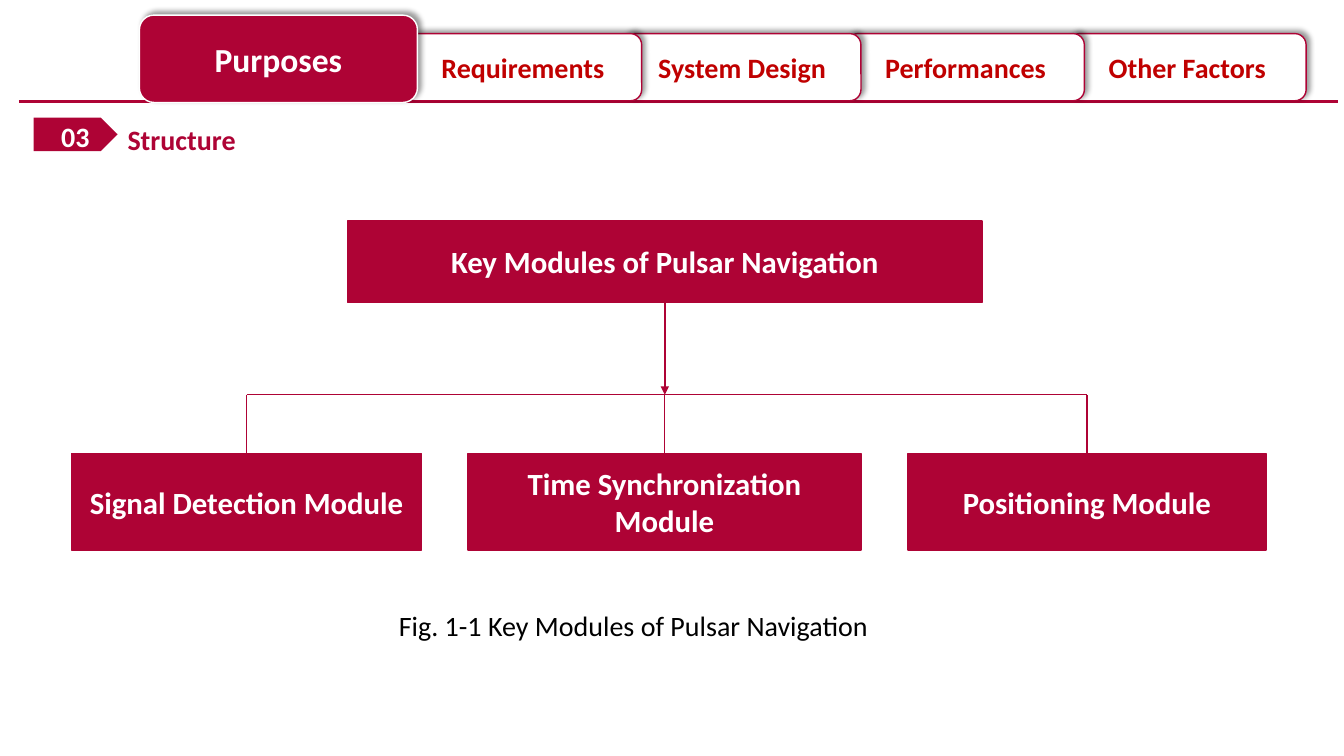
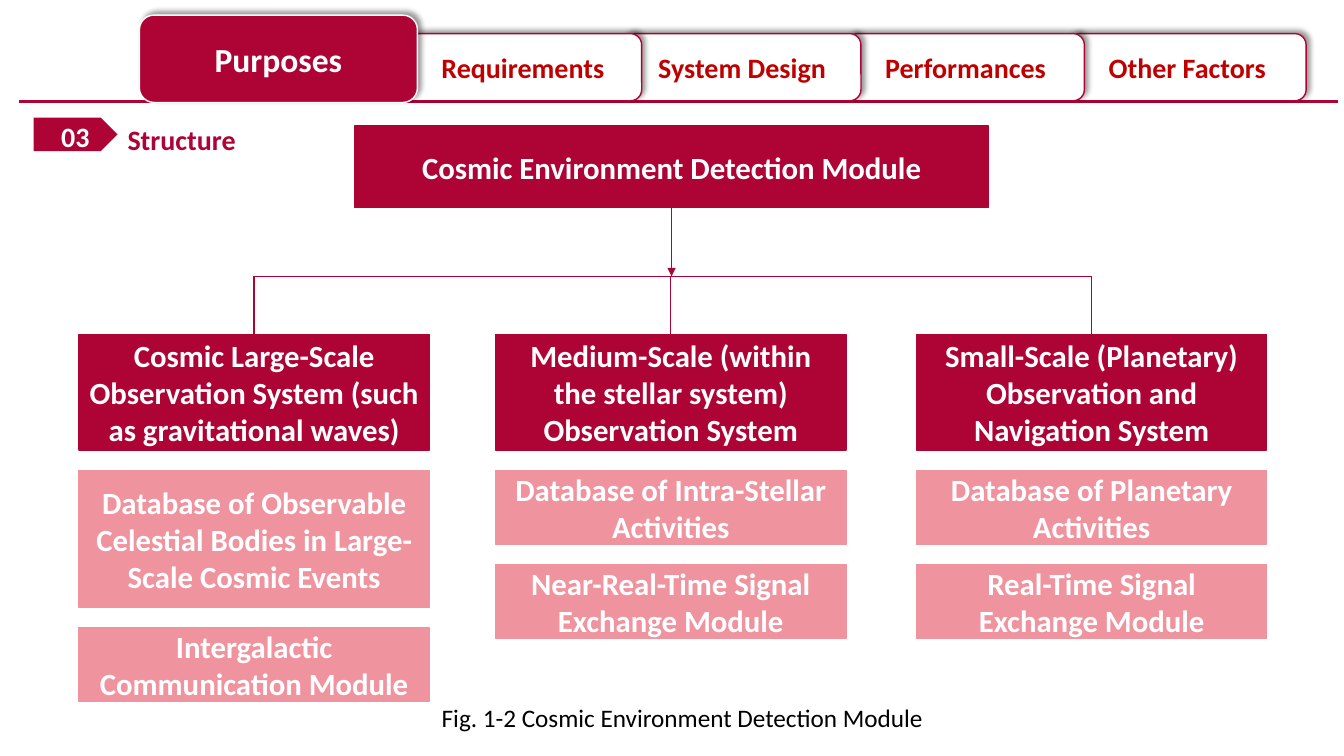
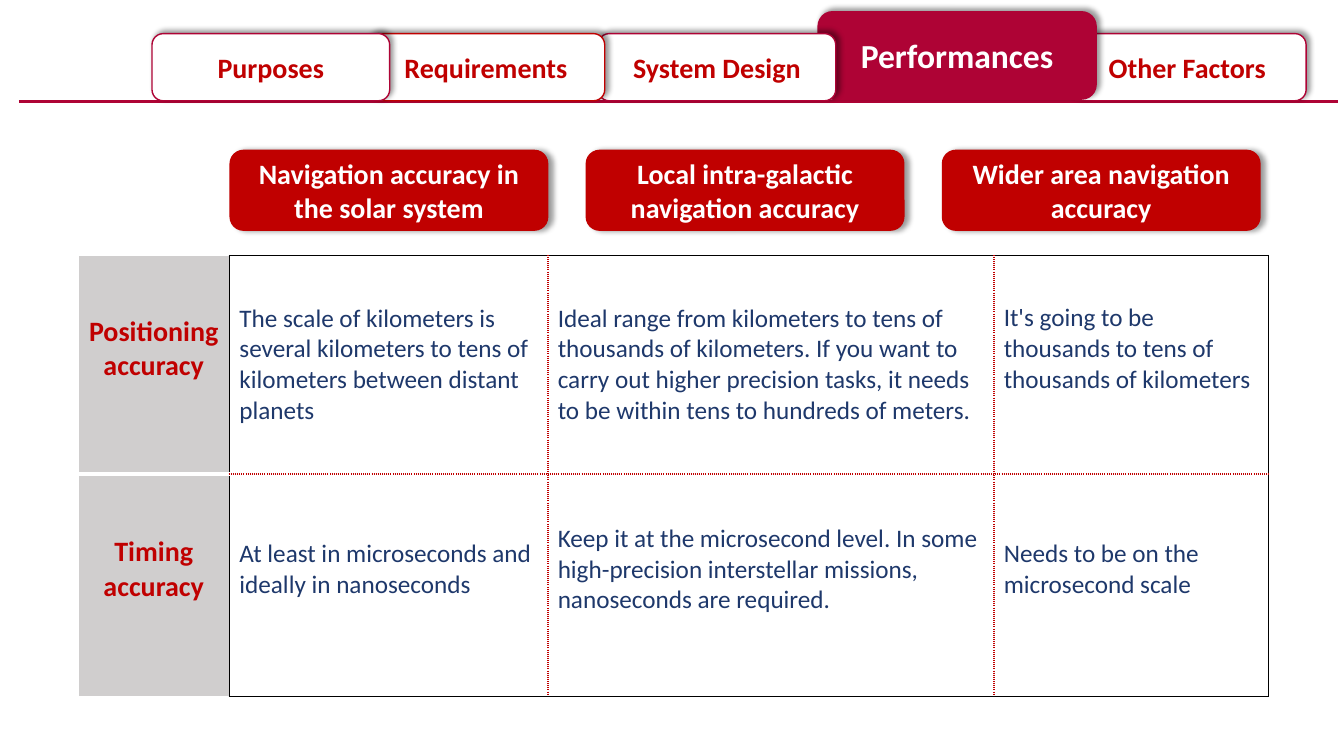
"""Builds three slides on pulsar navigation: two module trees and an accuracy table."""
from lxml.etree import SubElement
from pptx import Presentation
from pptx.dml.color import RGBColor
from pptx.enum.shapes import MSO_CONNECTOR, MSO_SHAPE
from pptx.enum.text import MSO_ANCHOR, MSO_AUTO_SIZE, PP_ALIGN
from pptx.oxml.ns import qn
from pptx.util import Inches, Pt

CELL = Inches(1) // 12
COLUMNS, ROWS = 160, 90
FONT = "Calibri"
CRIMSON = RGBColor(0xAE, 0x03, 0x35)
RED = RGBColor(0xC0, 0x00, 0x00)
PINK = RGBColor(0xEF, 0x94, 0x9E)
GREY = RGBColor(0xD0, 0xCE, 0xCE)
NAVY = RGBColor(0x1E, 0x38, 0x6B)
WHITE = RGBColor(0xFF, 0xFF, 0xFF)
BLACK = RGBColor(0x00, 0x00, 0x00)


def add_label(slide, text, at, size, color, bold=True, outline=None, fill=None, edge=None, shadow_angle=None):
    left, top, width, height = [round(CELL * value) for value in at]
    if outline is None:
        label = slide.shapes.add_textbox(left, top, width, height)
        label.text_frame.auto_size = MSO_AUTO_SIZE.SHAPE_TO_FIT_TEXT
    else:
        label = slide.shapes.add_shape(outline, left, top, width, height)
        label.fill.solid()
        label.fill.fore_color.rgb = fill
        label.line.color.rgb = edge
        label.line.width = Pt(1)
        label.shadow.inherit = False
        label.text_frame.vertical_anchor = MSO_ANCHOR.MIDDLE
    if shadow_angle is not None:
        effects = label.element.spPr.find(qn("a:effectLst"))
        shadow = SubElement(effects, qn("a:outerShdw"), blurRad=str(Pt(4)), dist=str(Pt(3)),
                            dir=str(shadow_angle * 60000), rotWithShape="0")
        tint = SubElement(shadow, qn("a:srgbClr"), val=str(BLACK))
        SubElement(tint, qn("a:alpha"), val="40000")
    label.text_frame.word_wrap = True
    paragraph = label.text_frame.paragraphs[0]
    paragraph.text = text
    paragraph.alignment = PP_ALIGN.LEFT if outline is None else PP_ALIGN.CENTER
    paragraph.font.name, paragraph.font.size = FONT, Pt(size)
    paragraph.font.bold, paragraph.font.color.rgb = bold, color
    return label


def add_line(slide, start, end, width=1, arrow=False):
    ends = [round(CELL * value) for value in (*start, *end)]
    line = slide.shapes.add_connector(MSO_CONNECTOR.STRAIGHT, *ends)
    line.line.color.rgb = CRIMSON
    line.line.width = Pt(width)
    properties = line.element.spPr
    if arrow:
        SubElement(properties.find(qn("a:ln")), qn("a:tailEnd"), type="triangle")
    SubElement(properties, qn("a:effectLst"))
    return line


presentation = Presentation()
presentation.slide_width = CELL * COLUMNS
presentation.slide_height = CELL * ROWS

purposes_tabs = [
    ("Other Factors", 127.2, CRIMSON), ("Performances", 100.8, CRIMSON), ("System Design", 74.2, CRIMSON),
    ("Requirements", 48.1, CRIMSON), ("Purposes", 16.6, WHITE),
]
performances_tabs = [
    ("Other Factors", 127.2, CRIMSON), ("Performances", 97.4, CRIMSON), ("System Design", 71.2, CRIMSON),
    ("Requirements", 43.7, RED), ("Purposes", 18.1, CRIMSON),
]
slides = []
for tabs, current, current_top in [
    (purposes_tabs, "Purposes", 1.8),
    (purposes_tabs, "Purposes", 1.8),
    (performances_tabs, "Performances", 1.4),
]:
    slide = presentation.slides.add_slide(presentation.slide_layouts[6])
    slides.append(slide)
    add_line(slide, (2.25, 12.1), (159.25, 12.1), 2.25)
    for section, left, edge in tabs:
        if section == current:
            at, size, color, fill = (left, current_top, 33.1, 10.4), 24, WHITE, CRIMSON
        else:
            at, size, color, fill = (left, 4, 28.3, 8), 20, RED, WHITE
        add_label(slide, section, at, size, color, True, MSO_SHAPE.ROUNDED_RECTANGLE, fill, edge, 315)

trees = [
    {
        "root": ("Key Modules of Pulsar Navigation", 41.4, 26.3),
        "bus": 47, "top": 54, "height": 11.5,
        "modules": [
            ("Signal Detection Module", 8.5, 41.7, []),
            ("Time Synchronization Module", 55.7, 46.8, []),
            ("Positioning Module", 108.1, 42.6, []),
        ],
        "caption": ("Fig. 1-1 Key Modules of Pulsar Navigation", (46.3, 71.9, 64, 5.3), 20),
    },
    {
        "root": ("Cosmic Environment Detection Module", 42.2, 15),
        "bus": 32.9, "top": 39.8, "height": 13.8,
        "modules": [
            ("Cosmic Large-Scale Observation System (such as gravitational waves)", 9.4, 41.7,
             [("Database of Observable Celestial Bodies in Large-Scale Cosmic Events", 16.3),
              ("Intergalactic Communication Module", 8.8)]),
            ("Medium-Scale (within the stellar system) Observation System", 59, 41.7,
             [("Database of Intra-Stellar Activities", 8.8), ("Near-Real-Time Signal Exchange Module", 8.8)]),
            ("Small-Scale (Planetary) Observation and Navigation System", 109.1, 41.7,
             [("Database of Planetary Activities", 8.8), ("Real-Time Signal Exchange Module", 8.8)]),
        ],
        "caption": ("Fig. 1-2 Cosmic Environment Detection Module", (51.4, 83, 80, 8.5), 18),
    },
]
ROOT_WIDTH, ROOT_HEIGHT, STACK_GAP = 75.5, 9.7, 2.4
for slide, tree in zip(slides, trees):
    badge_outline = slide.shapes.build_freeform(4.3, 13.6, scale=CELL)
    badge_outline.add_line_segments([(12.4, 13.6), (13.8, 15.95), (12.4, 18.3), (4.3, 18.3)])
    badge = badge_outline.convert_to_shape()
    badge.fill.solid()
    badge.fill.fore_color.rgb = CRIMSON
    badge.line.fill.background()
    badge.shadow.inherit = False
    add_label(slide, "Structure", (14, 14, 136.4, 5.3), 20, CRIMSON)
    add_label(slide, "03", (6.1, 13.6, 6.3, 5.3), 20, WHITE)

    title, left, top = tree["root"]
    root = add_label(slide, title, (left, top, ROOT_WIDTH, ROOT_HEIGHT), 22, WHITE, True,
                     MSO_SHAPE.RECTANGLE, CRIMSON, CRIMSON)
    root_center = left + ROOT_WIDTH / 2
    bus = tree["bus"]
    trunk = add_line(slide, (root_center, top + ROOT_HEIGHT), (root_center, bus), arrow=True)
    trunk.begin_connect(root, 2)

    centers = [left + width / 2 for _, left, width, _ in tree["modules"]]
    add_line(slide, (centers[0], bus), (centers[-1], bus))
    for center, (name, left, width, parts) in zip(centers, tree["modules"]):
        top = tree["top"]
        module = add_label(slide, name, (left, top, width, tree["height"]), 22, WHITE, True,
                           MSO_SHAPE.RECTANGLE, CRIMSON, CRIMSON)
        add_line(slide, (center, bus), (center, top)).end_connect(module, 0)
        top += tree["height"] + STACK_GAP
        for part, height in parts:
            add_label(slide, part, (left, top, width, height), 22, WHITE, True,
                      MSO_SHAPE.RECTANGLE, PINK, PINK)
            top += height + STACK_GAP
    caption, at, size = tree["caption"]
    add_label(slide, caption, at, size, BLACK, False)

accuracy_slide = slides[2]
scopes = [
    "Navigation accuracy in the solar system",
    "Local intra-galactic navigation accuracy",
    "Wider area navigation accuracy",
]
for index, scope in enumerate(scopes):
    add_label(accuracy_slide, scope, (27.4 + 42.4 * index, 17.9, 37.8, 9.5), 20, WHITE, True,
              MSO_SHAPE.ROUNDED_RECTANGLE, RED, RED, 0)

accuracy = [
    ["Positioning accuracy",
     "The scale of kilometers is several kilometers to tens of kilometers between distant planets",
     "Ideal range from kilometers to tens of thousands of kilometers. If you want to carry out higher "
     "precision tasks, it needs to be within tens to hundreds of meters.",
     "It's going to be thousands to tens of thousands of kilometers"],
    ["Timing accuracy",
     "At least in microseconds and ideally in nanoseconds",
     "Keep it at the microsecond level. In some high-precision interstellar missions, nanoseconds are required.",
     "Needs to be on the microsecond scale"],
]
column_widths = [18, 37.9, 53.1, 32.7]
row_heights = [26, 26.5]
table = accuracy_slide.shapes.add_table(
    len(row_heights), len(column_widths), round(CELL * 9.3), round(CELL * 30.4),
    round(CELL * sum(column_widths)), round(CELL * sum(row_heights))).table
table.first_row = table.horz_banding = False
for column, width in zip(table.columns, column_widths):
    column.width = round(CELL * width)
for row, height in zip(table.rows, row_heights):
    row.height = round(CELL * height)

FRAME, DOTTED = (BLACK, 1, "solid"), (RED, 1.5, "sysDot")
THIN_GAP, WIDE_GAP = (WHITE, 1, "solid"), (WHITE, 3, "solid")
for row, texts in enumerate(accuracy):
    for column, text in enumerate(texts):
        heading = column == 0
        cell = table.cell(row, column)
        outer, inner = (THIN_GAP, WIDE_GAP) if heading else (FRAME, DOTTED)
        borders = {
            "a:lnL": THIN_GAP if heading else FRAME if column == 1 else DOTTED,
            "a:lnR": FRAME if column in (0, 3) else DOTTED,
            "a:lnT": outer if row == 0 else inner,
            "a:lnB": outer if row == 1 else inner,
        }
        properties = cell._tc.get_or_add_tcPr()
        for side, (color, width, dash) in borders.items():
            border = SubElement(properties, qn(side), w=str(Pt(width)))
            SubElement(SubElement(border, qn("a:solidFill")), qn("a:srgbClr"), val=str(color))
            SubElement(border, qn("a:prstDash"), val=dash)
        cell.fill.solid()
        cell.fill.fore_color.rgb = GREY if heading else WHITE
        cell.vertical_anchor = MSO_ANCHOR.MIDDLE
        if row == 1 or column in (0, 3):
            cell.margin_bottom = round(CELL * 4.3)
        paragraph = cell.text_frame.paragraphs[0]
        paragraph.text = text
        paragraph.alignment = PP_ALIGN.CENTER if heading else PP_ALIGN.LEFT
        paragraph.font.name, paragraph.font.size = FONT, Pt(20 if heading else 18)
        paragraph.font.bold, paragraph.font.color.rgb = heading, RED if heading else NAVY

presentation.save("out.pptx")
